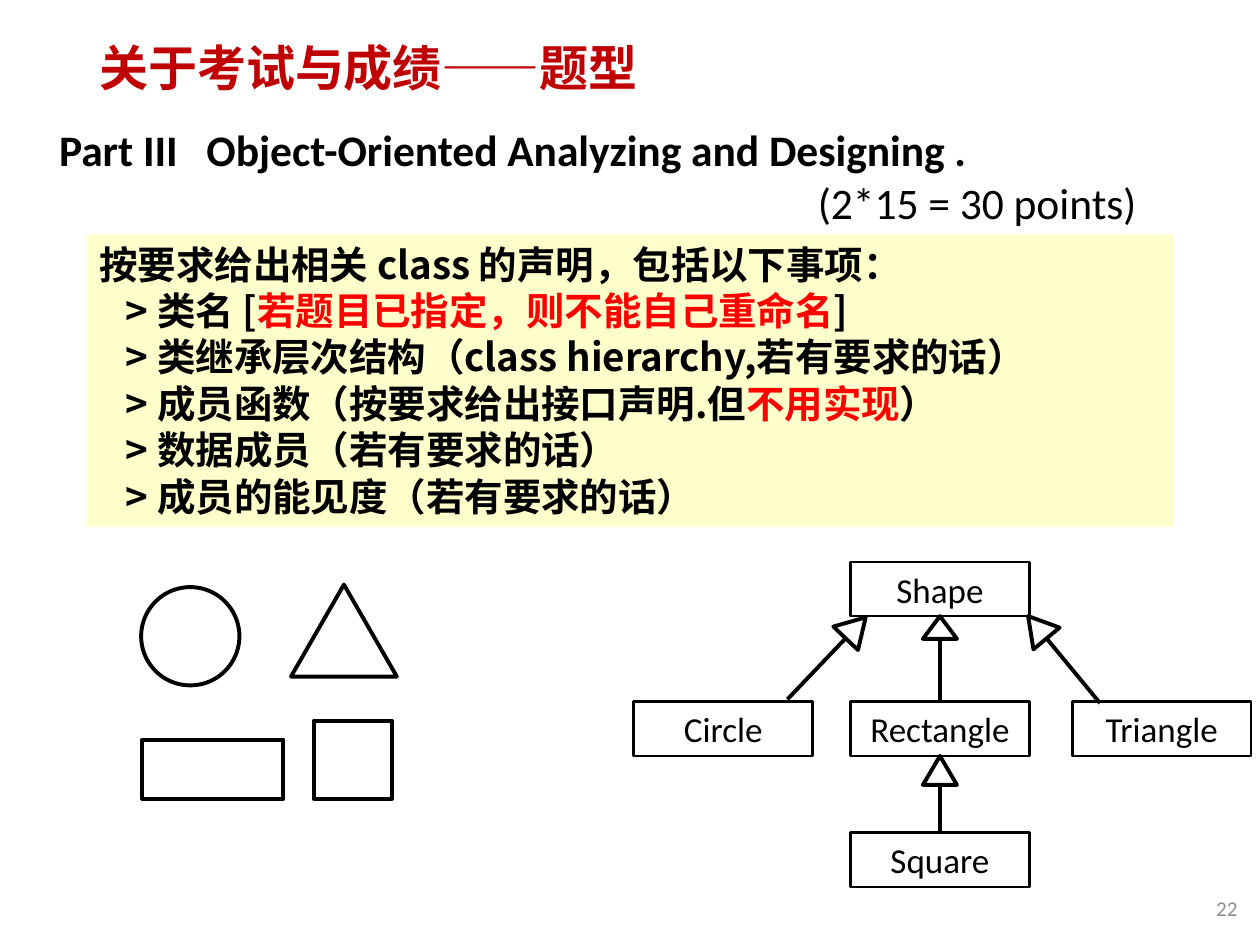
import math

import pptx
import pptx.dml.color
import pptx.enum.shapes
import pptx.enum.text
import pptx.oxml.ns
import pptx.util
from lxml import etree

Inches = pptx.util.Inches
Pt = pptx.util.Pt
RGBColor = pptx.dml.color.RGBColor
Shape = pptx.enum.shapes.MSO_SHAPE
Align = pptx.enum.text.PP_ALIGN
Anchor = pptx.enum.text.MSO_ANCHOR
qn = pptx.oxml.ns.qn

BLACK = RGBColor(0x00, 0x00, 0x00)
DARK_RED = RGBColor(0xC0, 0x00, 0x00)
RED = RGBColor(0xFF, 0x00, 0x00)
CREAM = RGBColor(0xFF, 0xFF, 0xCC)
GRAY = RGBColor(0x8C, 0x8C, 0x8C)
LATIN_FONT = "Calibri"
CHINESE_FONT = "Noto Sans CJK SC"


def write(para, text, size=20, color=BLACK, bold=False, font=LATIN_FONT):
    span = para.add_run()
    span.text = text
    span.font.size = Pt(size)
    span.font.color.rgb = color
    span.font.bold = bold
    span.font.name = font
    east_asian = etree.SubElement(span.font._element, qn("a:ea"))
    east_asian.set("typeface", CHINESE_FONT)


def next_paragraph(frame):
    """Return the first paragraph while it is empty, otherwise a new one."""
    first = frame.paragraphs[0]
    return frame.add_paragraph() if first.runs else first


class Painter:
    def __init__(self, page, outline=2.25, node_outline=1.5, node_size=(1.42, 0.43)):
        self.page = page
        self.outline = outline
        self.node_outline = node_outline
        self.node_size = node_size

    def text_frame(self, left, top, width, height, anchor=Anchor.TOP):
        box = self.page.shapes.add_textbox(
            Inches(left), Inches(top), Inches(width), Inches(height))
        box.text_frame.word_wrap = True
        box.text_frame.vertical_anchor = anchor
        return box.text_frame

    def shape(self, kind, left, top, width, height, fill=None, outline=None):
        """Add a preset shape; it has no line when outline is 0."""
        item = self.page.shapes.add_shape(
            kind, Inches(left), Inches(top), Inches(width), Inches(height))
        item.shadow.inherit = False
        if fill is None:
            item.fill.background()
        else:
            item.fill.solid()
            item.fill.fore_color.rgb = fill
        if outline == 0:
            item.line.fill.background()
        else:
            item.line.color.rgb = BLACK
            item.line.width = Pt(outline or self.outline)
        return item

    def node(self, name, left, top):
        item = self.shape(Shape.RECTANGLE, left, top, *self.node_size,
                          outline=self.node_outline)
        para = item.text_frame.paragraphs[0]
        para.alignment = Align.CENTER
        write(para, name)

    def line(self, start, end):
        connector = self.page.shapes.add_connector(
            pptx.enum.shapes.MSO_CONNECTOR.STRAIGHT, *map(Inches, start + end))
        connector.line.color.rgb = BLACK
        connector.line.width = Pt(self.outline)
        etree.SubElement(connector._element.spPr, qn("a:effectLst"))

    def inheritance(self, child, parent, head=0.23, head_width=0.27):
        """Draw a line from child to parent, with a hollow triangle at parent."""
        run, rise = parent[0] - child[0], child[1] - parent[1]
        angle = math.atan2(run, rise)
        step_x, step_y = -math.sin(angle), math.cos(angle)
        center_x = parent[0] + step_x * head / 2
        center_y = parent[1] + step_y * head / 2
        triangle = self.shape(Shape.ISOSCELES_TRIANGLE, center_x - head_width / 2,
                              center_y - head / 2, head_width, head)
        triangle.rotation = math.degrees(angle) % 360
        self.line((parent[0] + step_x * head, parent[1] + step_y * head), child)


def add_headings(painter):
    title = painter.text_frame(0.69, 0.22, 8.62, 0.68, Anchor.MIDDLE).paragraphs[0]
    title.line_spacing = 0.9
    write(title, "关于考试与成绩——题型", size=28, color=DARK_RED, bold=True)

    part = painter.text_frame(0.37, 0.93, 8.75, 0.94)
    heading = next_paragraph(part)
    write(heading, "Part III\tObject-Oriented Analyzing and Designing .",
          size=24.9, bold=True)
    tabs = etree.SubElement(heading._p.get_or_add_pPr(), qn("a:tabLst"))
    etree.SubElement(tabs, qn("a:tab"), pos=str(Inches(1.17)), algn="l")
    points = next_paragraph(part)
    points.alignment = Align.RIGHT
    write(points, "(2*15 = 30 points)", size=24.9)


def add_requirements(painter):
    panel = painter.shape(Shape.RECTANGLE, 0.69, 1.86, 8.62, 2.32,
                          fill=CREAM, outline=0)
    frame = panel.text_frame
    frame.word_wrap = True
    frame.vertical_anchor = Anchor.TOP
    lines = [
        [("按要求给出相关 class 的声明，包括以下事项：", BLACK)],
        [("> 类名 [", BLACK), ("若题目已指定，则不能自己重命名", RED), ("]", BLACK)],
        [("> 类继承层次结构（class hierarchy,若有要求的话）", BLACK)],
        [("> 成员函数（按要求给出接口声明.但", BLACK), ("不用实现", RED), ("）", BLACK)],
        [("> 数据成员（若有要求的话）", BLACK)],
        [("> 成员的能见度（若有要求的话）", BLACK)],
    ]
    for index, spans in enumerate(lines):
        para = next_paragraph(frame)
        para.alignment = Align.LEFT
        para.line_spacing = Pt(26.5)
        if index:
            para._p.get_or_add_pPr().set("marL", str(Inches(0.21)))
        for text, color in spans:
            write(para, text, size=22, color=color, bold=True, font=CHINESE_FONT)


def add_sample_figures(painter):
    painter.shape(Shape.RECTANGLE, 2.49, 5.72, 0.62, 0.62)
    painter.shape(Shape.RECTANGLE, 1.13, 5.87, 1.12, 0.47)
    painter.shape(Shape.ISOSCELES_TRIANGLE, 2.31, 4.64, 0.84, 0.73)
    painter.shape(Shape.OVAL, 1.12, 4.66, 0.78, 0.78)


def add_class_diagram(painter):
    width, height = painter.node_size
    middle, base_top, derived_top, leaf_top = 6.75, 4.46, 5.57, 6.61
    axis = middle + width / 2
    for name, left, top in [
        ("Shape", middle, base_top),
        ("Circle", 5.03, derived_top),
        ("Rectangle", middle, derived_top),
        ("Triangle", 8.51, derived_top),
        ("Square", middle, leaf_top),
    ]:
        painter.node(name, left, top)
    painter.inheritance((axis, derived_top), (axis, base_top + height), head=0.18)
    painter.inheritance((8.73, 5.58), (8.16, 4.89))
    painter.inheritance((6.25, 5.55), (6.87, 4.9))
    painter.inheritance((axis, leaf_top), (axis, derived_top + height))


def add_page_number(painter):
    number = painter.text_frame(9.31, 7.01, 0.61, 0.4, Anchor.MIDDLE).paragraphs[0]
    number.alignment = Align.RIGHT
    write(number, "22", size=12, color=GRAY)


def main():
    deck = pptx.Presentation()
    deck.slide_width, deck.slide_height = Inches(10), Inches(7.5)
    painter = Painter(deck.slides.add_slide(deck.slide_layouts[6]))
    add_headings(painter)
    add_requirements(painter)
    add_sample_figures(painter)
    add_class_diagram(painter)
    add_page_number(painter)
    deck.save("out.pptx")


if __name__ == "__main__":
    main()
